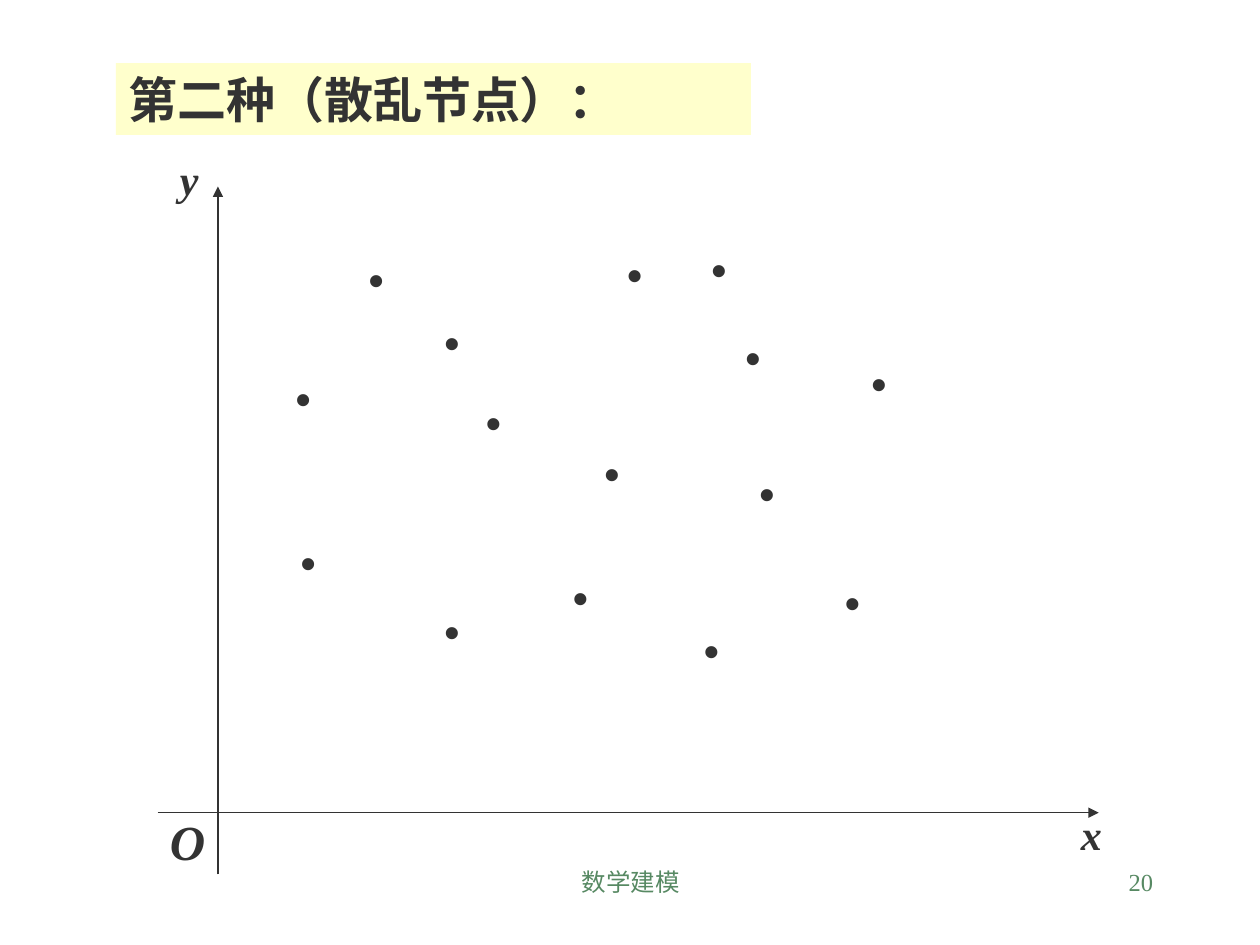
from dataclasses import dataclass

from lxml import etree
from pptx import Presentation
from pptx import util as u
from pptx.dml.color import RGBColor
from pptx.enum import shapes, text
from pptx.oxml import ns

INK = RGBColor(0x33, 0x33, 0x33)
HIGHLIGHT = RGBColor(0xFF, 0xFF, 0xCC)
FOOTER_GREEN = RGBColor(0x57, 0x89, 0x63)
SERIF = "Times New Roman"
LEFT, CENTER, RIGHT = text.PP_ALIGN.LEFT, text.PP_ALIGN.CENTER, text.PP_ALIGN.RIGHT

TITLE_FORMAT = {"name": SERIF, "size": u.Pt(28), "bold": True, "italic": False}
NODE_FORMAT = {"name": "Arial", "size": u.Pt(24), "bold": True}
AXIS_FORMAT = {"name": SERIF, "size": u.Pt(24), "bold": True, "italic": True}
ORIGIN_FORMAT = {**AXIS_FORMAT, "size": u.Pt(28)}
FOOTER_FORMAT = {"name": SERIF, "size": u.Pt(14)}


@dataclass(frozen=True)
class Label:
    words: str
    left: float
    top: float
    width: float
    height: float
    font: dict
    color: RGBColor = INK
    align: text.PP_ALIGN = LEFT
    wrap: bool = True


@dataclass(frozen=True)
class Axis:
    start: tuple[float, float]
    end: tuple[float, float]


NODES = [
    (2.83, 1.96), (3.43, 2.46), (4.7, 3.5), (5.55, 1.88), (5.82, 2.58),
    (4.88, 1.92), (5.93, 3.66), (6.82, 2.79), (3.76, 3.1), (2.25, 2.91),
    (2.29, 4.21), (3.43, 4.76), (4.45, 4.49), (5.49, 4.91), (6.61, 4.53),
]
AXES = [
    Axis((1.25, 6.45), (8.72, 6.45)),
    Axis((1.73, 6.94), (1.73, 1.48)),
]
TITLE = Label("第二种（散乱节点）：", 0.92, 0.5, 5.04, 0.57, TITLE_FORMAT)
LABELS = [
    *(Label("•", left, top, 0.69, 0.5, NODE_FORMAT) for left, top in NODES),
    Label("y", 1.33, 1.17, 0.58, 0.5, AXIS_FORMAT),
    Label("x", 8.48, 6.37, 0.73, 0.5, AXIS_FORMAT),
    Label("O", 1.25, 6.39, 0.48, 0.57, ORIGIN_FORMAT, wrap=False),
    Label("数学建模", 3.42, 6.83, 3.17, 0.5, FOOTER_FORMAT, FOOTER_GREEN, CENTER),
    Label("20", 7.17, 6.83, 2.08, 0.5, FOOTER_FORMAT, FOOTER_GREEN, RIGHT),
]


def write_label(shape, label: Label) -> None:
    for side in ("left", "top", "width", "height"):
        setattr(shape, side, u.Inches(getattr(label, side)))
    frame = shape.text_frame
    frame.text = label.words
    frame_format = {
        "word_wrap": label.wrap,
        "auto_size": text.MSO_AUTO_SIZE.NONE,
        "vertical_anchor": text.MSO_ANCHOR.TOP,
    }
    for name, value in frame_format.items():
        setattr(frame, name, value)
    paragraph = frame.paragraphs[0]
    paragraph.alignment = label.align
    font = paragraph.runs[0].font
    for name, value in label.font.items():
        setattr(font, name, value)
    font.color.rgb = label.color


def draw_axis(slide, axis: Axis) -> None:
    points = [u.Inches(value) for value in (*axis.start, *axis.end)]
    connector = slide.shapes.add_connector(shapes.MSO_CONNECTOR.STRAIGHT, *points)
    connector.line.color.rgb = INK
    connector.line.width = u.Pt(0.75)
    properties = connector.element.spPr
    line = properties.find(ns.qn("a:ln"))
    etree.SubElement(line, ns.qn("a:tailEnd"), type="triangle")
    etree.SubElement(properties, ns.qn("a:effectLst"))


def main() -> None:
    presentation = Presentation()
    presentation.slide_width = u.Inches(10)
    presentation.slide_height = u.Inches(7.5)
    slide = presentation.slides.add_slide(presentation.slide_layouts[5])

    title = slide.shapes.title
    write_label(title, TITLE)
    title.fill.solid()
    title.fill.fore_color.rgb = HIGHLIGHT

    for axis in AXES:
        draw_axis(slide, axis)
    for label in LABELS:
        box = slide.shapes.add_textbox(0, 0, 0, 0)
        write_label(box, label)

    presentation.save("out.pptx")


if __name__ == "__main__":
    main()
